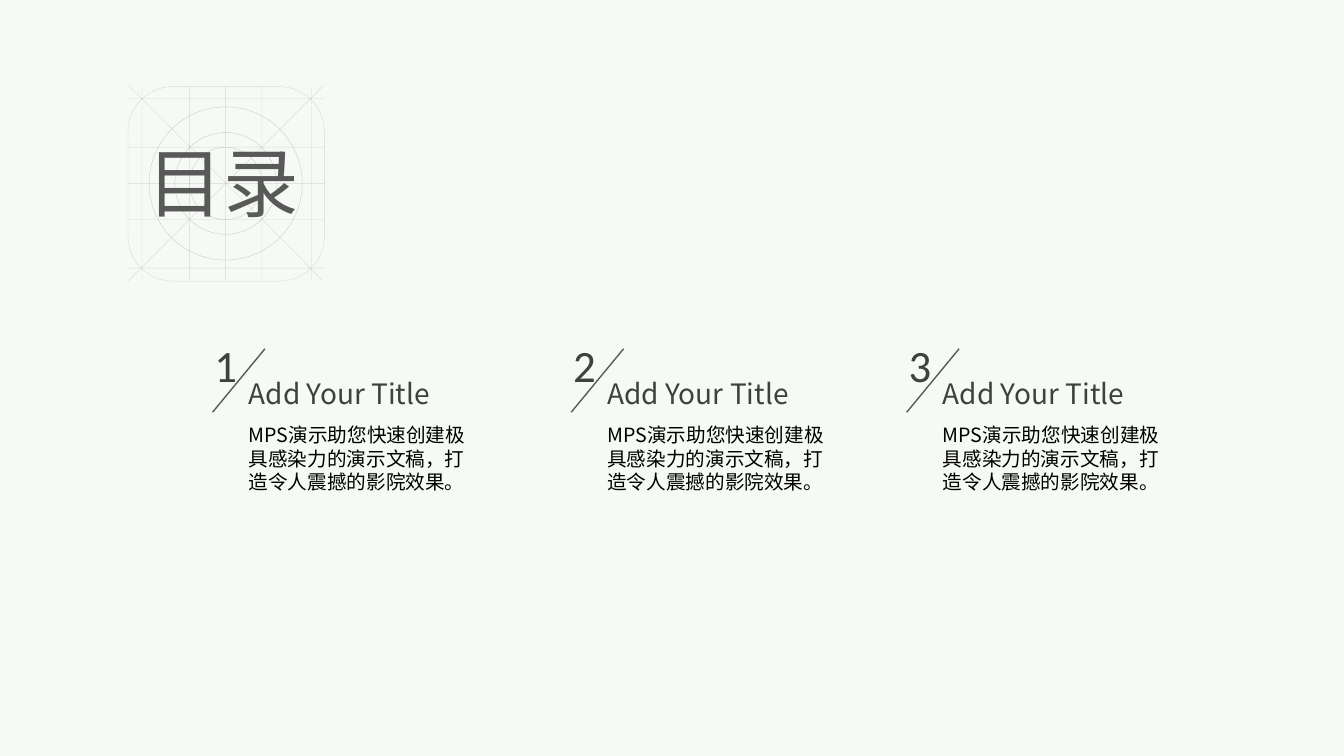
from dataclasses import dataclass

from lxml.etree import SubElement
from pptx import Presentation
from pptx.dml.color import RGBColor
from pptx.enum.shapes import MSO_CONNECTOR, MSO_SHAPE
from pptx.enum.text import MSO_AUTO_SIZE
from pptx.oxml.ns import qn
from pptx.util import Inches, Pt

COLORS = {
    "back": "F6FAF4",
    "guide": "BFBFBF",
    "slash": "595959",
    "head": "595959",
    "title": "404040",
    "body": "000000",
}
SANS = "Noto Sans CJK SC"
FORMATS = {
    "head": {"size": Pt(54), "name": SANS},
    "number": {"size": Pt(32), "name": "Calibri"},
    "title": {"size": Pt(20), "name": SANS},
    "body": {"size": Pt(14), "name": SANS},
}
FRAME = {
    "word_wrap": True,
    "auto_size": MSO_AUTO_SIZE.SHAPE_TO_FIT_TEXT,
    "margin_left": Inches(0.1),
    "margin_right": Inches(0.1),
    "margin_top": Inches(0.05),
    "margin_bottom": Inches(0.05),
}
BODY = "MPS演示助您快速创建极具感染力的演示文稿，打造令人震撼的影院效果。"


@dataclass
class Box:
    left: float
    top: float
    width: float
    height: float

    def size(self) -> list:
        return [Inches(v) for v in (self.left, self.top, self.width, self.height)]


@dataclass
class Line:
    x1: float
    y1: float
    x2: float
    y2: float


@dataclass
class Item:
    left: float
    number: str
    title: str = "Add Your Title"
    body: str = BODY


ITEMS = [Item(2.03, "1"), Item(5.59, "2"), Item(8.92, "3")]

MID_X, MID_Y = 2.24, 1.82
RINGS = [1.52, 1.01, 0.72]
GRID = (
    [Line(1.27, y, 3.22, y) for y in (0.98, 1.46, 1.82, 2.18, 2.66)]
    + [Line(x, 0.86, x, 2.78) for x in (1.41, 1.88, 2.24, 2.6, 3.09)]
    + [Line(1.27, 0.84, 3.2, 2.78), Line(1.27, 2.79, 3.21, 0.85)]
)


def paint(line, color: str, width: float, alpha: int = 100) -> None:
    """Set colour, width in points and opacity in percent."""
    line.color.rgb = RGBColor.from_string(COLORS[color])
    line.width = Pt(width)
    if alpha < 100:
        tone = line.fill._xPr.find(".//" + qn("a:srgbClr"))
        SubElement(tone, qn("a:alpha"), val=str(alpha * 1000))


def add_line(shapes, line: Line, color: str, width: float, alpha: int = 100) -> None:
    ends = [Inches(v) for v in (line.x1, line.y1, line.x2, line.y2)]
    link = shapes.add_connector(MSO_CONNECTOR.STRAIGHT, *ends)
    paint(link.line, color, width, alpha)
    SubElement(link._element.spPr, qn("a:effectLst"))


def add_guide(shapes, kind: MSO_SHAPE, box: Box, alpha: int):
    shape = shapes.add_shape(kind, *box.size())
    shape.shadow.inherit = False
    shape.fill.background()
    paint(shape.line, "guide", 0.25, alpha)
    return shape


def add_text(shapes, box: Box, text: str, style: str, color: str) -> None:
    frame = shapes.add_textbox(*box.size()).text_frame
    for key, value in FRAME.items():
        setattr(frame, key, value)
    run = frame.paragraphs[0].add_run()
    run.text = text
    for key, value in FORMATS[style].items():
        setattr(run.font, key, value)
    run.font.color.rgb = RGBColor.from_string(COLORS[color])
    SubElement(run._r.rPr, qn("a:ea"), typeface=run.font.name)


def add_emblem(shapes) -> None:
    """Draw the rings, tile and guide lines behind the heading."""
    group = shapes.add_group_shape().shapes
    for size in RINGS:
        box = Box(MID_X - size / 2, MID_Y - size / 2, size, size)
        add_guide(group, MSO_SHAPE.OVAL, box, 81)
    tile = add_guide(group, MSO_SHAPE.ROUNDED_RECTANGLE, Box(1.27, 0.86, 1.95, 1.93), 56)
    tile.adjustments[0] = 0.23
    for line in GRID:
        add_line(group, line, "guide", 0.25, 56)


def add_item(shapes, item: Item) -> None:
    left = item.left
    add_text(shapes, Box(left, 3.3, 0.45, 0.64), item.number, "number", "title")
    add_line(shapes, Line(left + 0.6, 3.46, left + 0.08, 4.09), "slash", 1)
    add_text(shapes, Box(left + 0.34, 3.69, 2.26, 0.44), item.title, "title", "title")
    add_text(shapes, Box(left + 0.34, 4.15, 2.53, 0.8), item.body, "body", "body")


def main() -> None:
    deck = Presentation()
    deck.slide_width, deck.slide_height = Inches(13.34), Inches(7.5)
    slide = deck.slides.add_slide(deck.slide_layouts[6])
    fill = slide.background.fill
    fill.solid()
    fill.fore_color.rgb = RGBColor.from_string(COLORS["back"])
    add_emblem(slide.shapes)
    add_text(slide.shapes, Box(1.37, 1.3, 1.78, 1), "目录", "head", "head")
    for item in ITEMS:
        add_item(slide.shapes, item)
    deck.save("out.pptx")


if __name__ == "__main__":
    main()
